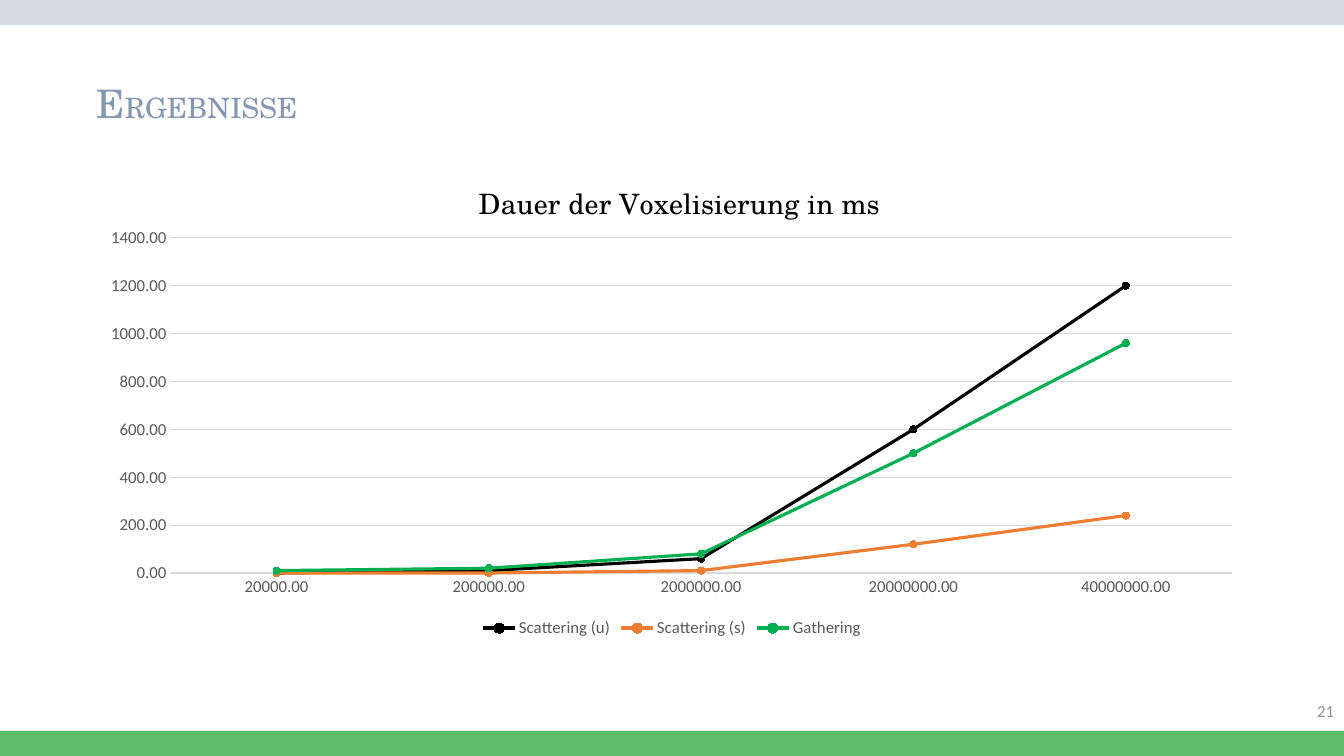
from dataclasses import dataclass

from lxml.etree import SubElement
from pptx import Presentation
from pptx.chart.data import CategoryChartData
from pptx.dml.color import RGBColor
from pptx.enum.chart import XL_CHART_TYPE, XL_LEGEND_POSITION, XL_MARKER_STYLE, XL_TICK_MARK
from pptx.enum.shapes import MSO_SHAPE
from pptx.enum.text import MSO_ANCHOR, PP_ALIGN
from pptx.oxml.ns import qn
from pptx.util import Inches, Pt


@dataclass(frozen=True)
class Theme:
    """Colours, fonts and type sizes of the slide."""
    top: str = "D6DCE5"
    foot: str = "5CBC67"
    head: str = "8497B0"
    page: str = "8C8C8C"
    label: str = "595959"
    grid: str = "D9D9D9"
    ink: str = "000000"
    serif: str = "TeX Gyre Schola"
    sans: str = "Calibri"
    cap: int = 28
    large: int = 20
    small: int = 12


THEME = Theme()
WIDTH, HEIGHT = 13.33, 7.5
BAND = HEIGHT / 30
SIZES = (20000, 200000, 2000000, 20000000, 40000000)
SERIES = (
    ("Scattering (u)", "000000", (0, 10, 60, 600, 1200)),
    ("Scattering (s)", "ED7D31", (0, 0, 10, 120, 240)),
    ("Gathering", "00B050", (10, 20, 80, 500, 960)),
)


def style(font, size, color, name):
    """Set size, colour and typeface of a font."""
    font.size, font.name = Pt(size), name
    font.color.rgb = RGBColor.from_string(color)


def paint(form, color):
    """Give a fill or line format a solid colour."""
    form.solid()
    form.fore_color.rgb = RGBColor.from_string(color)


def band(slide, box, color):
    """Draw a plain coloured band in the box."""
    bar = slide.shapes.add_shape(MSO_SHAPE.RECTANGLE, *map(Inches, box))
    bar.shadow.inherit = False
    paint(bar.fill, color)
    bar.line.fill.background()


def text(slide, box, runs, color, name, align=PP_ALIGN.LEFT, anchor=MSO_ANCHOR.TOP):
    """Write sized runs on one line of the box."""
    frame = slide.shapes.add_textbox(*map(Inches, box)).text_frame
    frame.word_wrap = True
    frame.vertical_anchor = anchor
    line = frame.paragraphs[0]
    line.alignment = align
    for words, size in runs:
        run = line.add_run()
        run.text = words
        style(run.font, size, color, name)


def place(part, index, **spots):
    """Fix a chart part at shares of the chart's size."""
    for old in part.findall(qn("c:layout")):
        part.remove(old)
    layout = part.makeelement(qn("c:layout"))
    part.insert(index, layout)
    manual = SubElement(layout, qn("c:manualLayout"))
    if "w" in spots:
        SubElement(manual, qn("c:layoutTarget")).set("val", "inner")
    for key in "xy":
        SubElement(manual, qn(f"c:{key}Mode")).set("val", "edge")
    for key, share in spots.items():
        SubElement(manual, qn(f"c:{key}")).set("val", str(share))


def caption(chart, words):
    """Put the title above the plot."""
    chart.has_title = True
    title = chart.chart_title
    title.include_in_layout = False
    run = title.text_frame.paragraphs[0].add_run()
    run.text = words
    style(run.font, THEME.large, THEME.ink, THEME.serif)
    run.font.bold = False
    place(title._element, 1, x=0.33, y=0.05)


def axes(chart):
    """Style both axes and the grid lines."""
    for axis in (chart.category_axis, chart.value_axis):
        axis.major_tick_mark = axis.minor_tick_mark = XL_TICK_MARK.NONE
        labels = axis.tick_labels
        labels.number_format, labels.number_format_is_linked = "0.00", False
        style(labels.font, THEME.small, THEME.label, THEME.sans)
    chart.value_axis.format.line.fill.background()
    chart.value_axis.minimum_scale = 0
    chart.value_axis.maximum_scale = 1400
    chart.value_axis.major_unit = 200
    chart.value_axis.has_major_gridlines = True
    for part in (chart.category_axis, chart.value_axis.major_gridlines):
        paint(part.format.line.fill, THEME.grid)
        part.format.line.width = Pt(0.75)


def graph(slide, box):
    """Draw the line chart of voxelisation times in the box."""
    data = CategoryChartData(number_format="0.00")
    data.categories = SIZES
    data.categories.number_format = "0.00"
    for name, _, times in SERIES:
        data.add_series(name, times)
    chart = slide.shapes.add_chart(
        XL_CHART_TYPE.LINE_MARKERS, *map(Inches, box), data).chart
    style(chart.font, 10, THEME.ink, THEME.sans)
    caption(chart, "Dauer der Voxelisierung in ms")
    axes(chart)
    place(chart._chartSpace.chart.plotArea, 0, x=0.07, y=0.18, w=0.91, h=0.68)
    chart.has_legend = True
    chart.legend.position = XL_LEGEND_POSITION.BOTTOM
    chart.legend.include_in_layout = False
    style(chart.legend.font, THEME.small, THEME.label, THEME.sans)
    for line, (_, color, _) in zip(chart.plots[0].series, SERIES):
        line.smooth = False
        paint(line.format.line.fill, color)
        line.format.line.width = Pt(2.25)
        line.marker.style, line.marker.size = XL_MARKER_STYLE.CIRCLE, 5
        paint(line.marker.format.fill, color)
        paint(line.marker.format.line.fill, color)


def result(deck):
    """Build the results slide."""
    slide = deck.slides.add_slide(deck.slide_layouts[6])
    band(slide, (0, 0, WIDTH, BAND), THEME.top)
    band(slide, (0, HEIGHT - BAND, WIDTH, BAND), THEME.foot)
    text(slide, (WIDTH - 3, HEIGHT - BAND - 0.4, 3, 0.4), [("21", THEME.small)],
         THEME.page, THEME.sans, PP_ALIGN.RIGHT, MSO_ANCHOR.MIDDLE)
    text(slide, (0.86, 0.74, 11.95, 0.57),
         [("E", THEME.cap), ("RGEBNISSE", THEME.large)], THEME.head, THEME.serif)
    graph(slide, (0.88, 1.48, 11.57, 4.89))


def main():
    """Create and save the deck."""
    deck = Presentation()
    deck.slide_width, deck.slide_height = Inches(WIDTH), Inches(HEIGHT)
    result(deck)
    deck.save("out.pptx")


if __name__ == "__main__":
    main()
